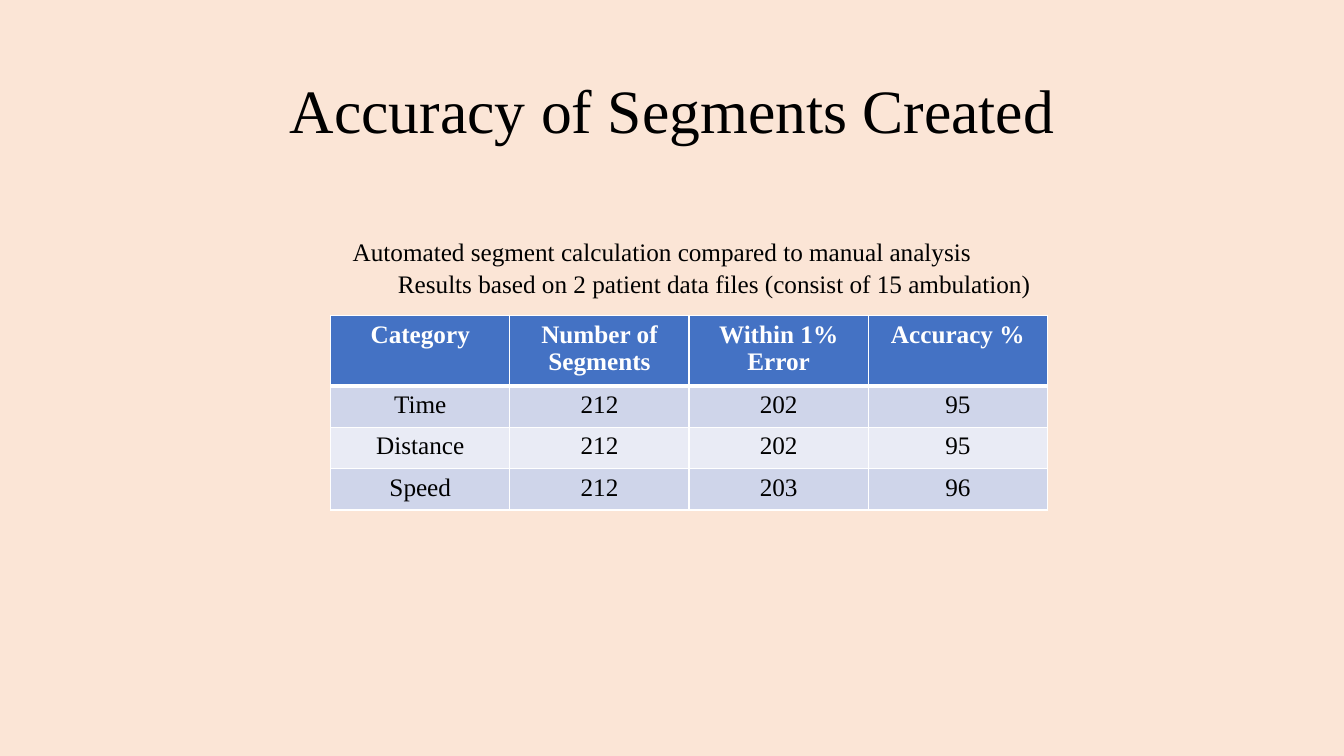
import pptx
import pptx.util
import pptx.dml.color
import pptx.enum.text
import pptx.oxml
import pptx.oxml.ns
from dataclasses import dataclass
from pptx.util import Inches

TITLE = "Accuracy of Segments Created"
ALIGN = pptx.enum.text.PP_ALIGN
NOTES = [
    ("Automated segment calculation compared to manual analysis", ALIGN.LEFT),
    ("Results based on 2 patient data files (consist of 15 ambulation)", ALIGN.CENTER),
]
ROWS = [
    ("Category", "Number of Segments", "Within 1% Error", "Accuracy %"),
    ("Time", "212", "202", "95"),
    ("Distance", "212", "202", "95"),
    ("Speed", "212", "203", "96"),
]


@dataclass
class Theme:
    """Colours, font and type sizes."""
    back: str = "FBE5D6"
    ink: str = "000000"
    white: str = "FFFFFF"
    head: str = "4472C4"
    bands: tuple = ("CFD5EA", "E9EBF5")
    font: str = "Times New Roman"
    big: int = 44
    body: int = 18
    thin: int = 1
    thick: int = 3


theme = Theme()


def paint(fill, color):
    """Give a fill one solid colour."""
    fill.solid()
    fill.fore_color.rgb = pptx.dml.color.RGBColor.from_string(color)


def write(para, text, size, color=theme.ink, bold=False, align=ALIGN.CENTER):
    """Add one run to a paragraph."""
    para.alignment = align
    run = para.add_run()
    run.text = text
    run.font.name = theme.font
    run.font.size = pptx.util.Pt(size)
    run.font.bold = bold
    paint(run.font.fill, color)


def add_box(slide, left, top, width, height):
    """Add a wrapping text box and return its frame."""
    box = slide.shapes.add_textbox(*map(Inches, (left, top, width, height)))
    box.text_frame.word_wrap = True
    return box.text_frame


def edge(cell, side, width):
    """Draw one white border of a cell."""
    space = pptx.oxml.ns.nsdecls("a")
    line = pptx.oxml.parse_xml(
        f'<a:ln{side} {space} w="{pptx.util.Pt(width)}"><a:solidFill>'
        f'<a:srgbClr val="{theme.white}"/></a:solidFill></a:ln{side}>')
    cell._tc.get_or_add_tcPr().append(line)


def add_grid(slide):
    """Add the banded accuracy table."""
    count, cols = len(ROWS), len(ROWS[0])
    width, tall, low = 7.11, 0.65, 0.41
    frame = slide.shapes.add_table(
        count, cols, Inches(3.28), Inches(3.13),
        Inches(width), Inches(tall + low * (count - 1)))
    table = frame.table
    for col in table.columns:
        col.width = Inches(width / cols)
    for i, texts in enumerate(ROWS):
        head = i == 0
        table.rows[i].height = Inches(tall if head else low)
        shade = theme.head if head else theme.bands[(i - 1) % 2]
        for j, text in enumerate(texts):
            cell = table.cell(i, j)
            for side in "LRTB":
                heavy = (i, side) in ((0, "B"), (1, "T"))
                edge(cell, side, theme.thick if heavy else theme.thin)
            paint(cell.fill, shade)
            write(cell.text_frame.paragraphs[0], text, theme.body,
                  theme.white if head else theme.ink, head)


def build():
    """Build and save the slide."""
    deck = pptx.Presentation()
    deck.slide_width, deck.slide_height = Inches(13.33), Inches(7.5)
    slide = deck.slides.add_slide(deck.slide_layouts[6])
    paint(slide.background.fill, theme.back)

    title = add_box(slide, 0.92, 0.4, 11.5, 1.45)
    title.vertical_anchor = pptx.enum.text.MSO_ANCHOR.MIDDLE
    title.paragraphs[0].line_spacing = 0.9
    write(title.paragraphs[0], TITLE, theme.big)

    add_grid(slide)

    notes = add_box(slide, 3.4, 2.29, 7.37, 0.71)
    for i, (text, align) in enumerate(NOTES):
        para = notes.add_paragraph() if i else notes.paragraphs[0]
        para.space_after = pptx.util.Pt(1.5)
        write(para, text, theme.body, align=align)

    deck.save("out.pptx")


build()
